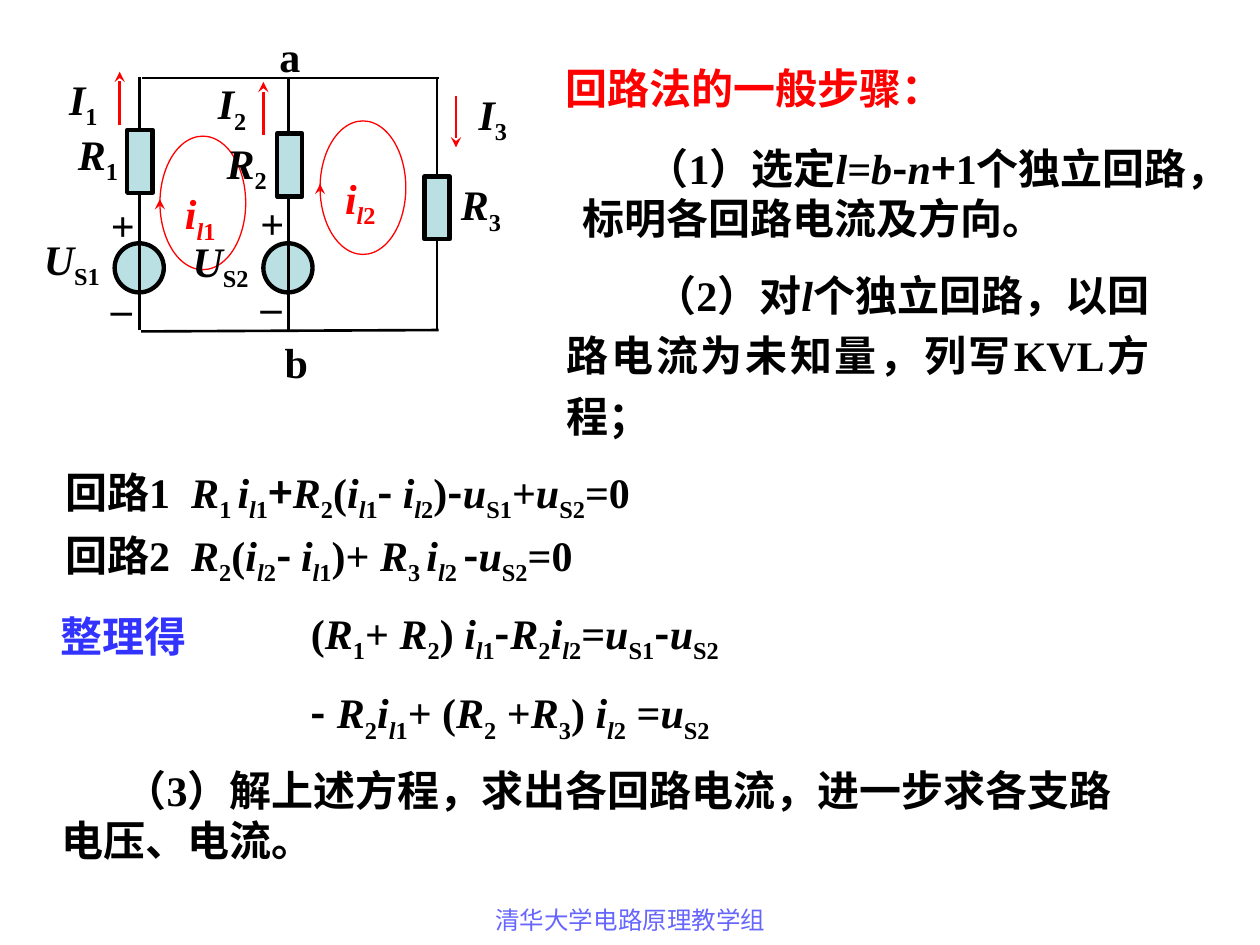
from dataclasses import dataclass, field
from typing import Any

import pptx
import pptx.dml.color
import pptx.enum.shapes
import pptx.enum.text
import pptx.oxml.ns
import pptx.util
from lxml import etree

Pt = pptx.util.Pt
RGBColor = pptx.dml.color.RGBColor
Preset = pptx.enum.shapes.MSO_SHAPE
Align = pptx.enum.text.PP_ALIGN
qn = pptx.oxml.ns.qn

BLACK = RGBColor(0x00, 0x00, 0x00)
RED = RGBColor(0xFF, 0x00, 0x00)
BLUE = RGBColor(0x33, 0x33, 0xFF)
PALE_BLUE = RGBColor(0x66, 0x66, 0xFF)
PART_FILL = RGBColor(0xBB, 0xE0, 0xE3)
SERIF = "Times New Roman"
SANS = "Noto Sans CJK SC"


@dataclass
class Label:
    """Text in points; *italic*, _subscript_ and ~sans~ are marked inline."""
    text: str
    left: float
    top: float
    width: float
    height: float = 40
    color: RGBColor = BLACK
    size: float = 24
    bold: bool = True
    margin: float = 0
    indent: float = 0
    tab: float = 0
    para_format: dict[str, Any] = field(default_factory=dict)


@dataclass
class Wire:
    x1: float
    y1: float
    x2: float
    y2: float
    color: RGBColor = BLACK
    weight: float = 1.5
    arrow: bool = False


@dataclass
class Part:
    preset: Any
    left: float
    top: float
    width: float
    height: float
    fill: RGBColor | None = PART_FILL
    color: RGBColor = BLACK
    weight: float = 2.5


@dataclass
class Loop:
    left: float
    top: float
    name: str


LOOPS = [Loop(91.4, 77.8, "*i*_*l*1_"), Loop(182.9, 69.1, "*i*_*l*2_")]
SOURCES = [Part(Preset.OVAL, x, 139, 28.1, 28.1) for x in (65.5, 150.5)]
RESISTORS = [Part(Preset.RECTANGLE, x, y, 14.4, 36)
             for x, y in ((72.7, 74.2), (158.4, 76.3), (242.6, 100.8))]
WIRES = [
    Wire(79.9, 188.6, 79.9, 43.9),
    Wire(164.9, 189.4, 164.9, 45.4),
    Wire(249.8, 45.4, 249.8, 189.4),
    Wire(80.6, 189.4, 250.6, 188.6),
    Wire(81.4, 44.6, 250.6, 44.6),
]
CURRENTS = [
    Wire(x, start, x, end, RED, arrow=True)
    for x, start, end in ((68.4, 71.3, 41), (150.5, 77, 46.8), (260.6, 54.7, 84.2))
]
CIRCUIT_LABELS = [
    Label("*I*_1_", 32.4, 38.2, 35.3),
    Label("*I*_2_", 117.4, 41, 35.3),
    Label("*I*_3_", 266.4, 46.8, 46.8),
    Label("*R*_1_", 37.4, 69.8, 46.8),
    Label("*R*_2_", 122.4, 74.9, 49.7),
    Label("*R*_3_", 256.3, 98.6, 46.8),
    Label("*U*_S1_", 18, 129.6, 51.8),
    Label("*U*_S2_", 103, 131, 63.4),
    Label("a", 152.6, 13.7, 25.9, 36),
    Label("b", 155.5, 188.6, 27.4, 36),
    Label("+", 56.2, 110.2, 27.4, 36),
    Label("–", 56.2, 157.7, 28.1, 36),
    Label("+", 141.8, 109.4, 26.6, 36),
    Label("–", 141.8, 157, 28.1, 36),
]
TEXTS = [
    Label("回路法的一般步骤：", 316, 32.4, 265.7, 36, RED),
    Label("（1）选定*l=b*~-~*n*~+~1个独立回路， 标明各回路电流及方向。",
          284.4, 77.8, 401, 64.8, margin=36, indent=42),
    Label("（2）对*l*个独立回路，以回路电流为未知量，列写KVL方程；",
          279.4, 144.7, 384.5, 110.9, margin=37.4, indent=50,
          para_format={"alignment": Align.JUSTIFY, "line_spacing": 1.2}),
    Label("回路1\t*R*_1 _*i*_*l*1_~+~*R*_2_(*i*_*l*1_~- ~*i*_*l*2_)~-~*u*_S1_+*u*_S2_=0",
          30.2, 262.8, 378, tab=90),
    Label("回路2\t*R*_2_(*i*_*l*2_~- ~*i*_*l*1_)+ *R*_3 _*i*_*l*2 _~-~*u*_S2_=0",
          30.2, 298.8, 357, tab=90),
    Label("整理得", 27.4, 345.6, 112.3, 36, BLUE),
    Label("(*R*_1_+ *R*_2_) *i*_*l*1_~-~*R*_2_*i*_*l*2_=*u*_S1_~-~*u*_S2_",
          170.6, 343.4, 274.3),
    Label("~-~* R*_2_*i*_*l*1_+ (*R*_2_ +*R*_3_) *i*_*l*2_ =*u*_S2_",
          170.6, 388.8, 270),
    Label("（3）解上述方程，求出各回路电流，进一步求各支路电压、电流。",
          28.1, 433.4, 630.7, 64.8, indent=36),
    Label("清华大学电路原理教学组", 246.2, 513.4, 228.2, 37.4, PALE_BLUE, 14, False,
          para_format={"alignment": Align.CENTER}),
]


def apply_format(target: Any, values: dict[str, Any]) -> None:
    for name, value in values.items():
        setattr(target, name, value)


def split_marks(text: str) -> list[tuple[str, frozenset[str]]]:
    """Cut marked text into pieces, each with the marks in force."""
    pieces, active, current = [], frozenset(), ""
    for letter in text:
        if letter not in "*_~":
            current += letter
            continue
        if current:
            pieces.append((current, active))
        active, current = active ^ {letter}, ""
    return pieces + [(current, active)] if current else pieces


def draw_label(slide: Any, label: Label) -> None:
    box = slide.shapes.add_textbox(
        Pt(label.left), Pt(label.top), Pt(label.width), Pt(label.height))
    box.text_frame.word_wrap = True
    para = box.text_frame.paragraphs[0]
    properties = para._p.get_or_add_pPr()
    properties.set("marL", str(Pt(label.margin)))
    properties.set("indent", str(Pt(label.indent)))
    apply_format(para, label.para_format)
    if label.tab:
        stops = etree.SubElement(properties, qn("a:tabLst"))
        etree.SubElement(stops, qn("a:tab"), pos=str(Pt(label.tab)), algn="l")
    for text, marks in split_marks(label.text):
        span = para.add_run()
        span.text = text
        apply_format(span.font, {
            "name": SANS if "~" in marks else SERIF,
            "size": Pt(label.size),
            "bold": label.bold,
            "italic": "*" in marks,
        })
        span.font.color.rgb = label.color
        run_properties = span._r.get_or_add_rPr()
        if "_" in marks:
            run_properties.set("baseline", "-25000")
        etree.SubElement(run_properties, qn("a:ea"), typeface=SANS)


def draw_wire(slide: Any, wire: Wire) -> None:
    line = slide.shapes.add_connector(
        pptx.enum.shapes.MSO_CONNECTOR.STRAIGHT,
        Pt(wire.x1), Pt(wire.y1), Pt(wire.x2), Pt(wire.y2))
    line.line.color.rgb = wire.color
    line.line.width = Pt(wire.weight)
    if wire.arrow:
        etree.SubElement(line.line._get_or_add_ln(), qn("a:tailEnd"), type="stealth")
    etree.SubElement(line._element.spPr, qn("a:effectLst"))


def draw_part(slide: Any, part: Part) -> None:
    shape = slide.shapes.add_shape(
        part.preset, Pt(part.left), Pt(part.top), Pt(part.width), Pt(part.height))
    shape.shadow.inherit = False
    if part.fill is None:
        shape.fill.background()
    else:
        shape.fill.solid()
        shape.fill.fore_color.rgb = part.fill
    shape.line.color.rgb = part.color
    shape.line.width = Pt(part.weight)


def draw_loop(slide: Any, loop: Loop) -> None:
    draw_part(slide, Part(Preset.OVAL, loop.left, loop.top, 49, 76.3, None, RED, 0.75))
    draw_label(slide, Label(loop.name, loop.left + 7.2, loop.top + 25.9, 35.3, color=RED))
    draw_wire(slide, Wire(loop.left, loop.top + 40.3, loop.left, loop.top + 36,
                          RED, 0.75, True))


def main() -> None:
    deck = pptx.Presentation()
    apply_format(deck, {"slide_width": Pt(720), "slide_height": Pt(540)})
    page = deck.slides.add_slide(deck.slide_layouts[6])
    for draw, items in (
        (draw_loop, LOOPS),
        (draw_part, SOURCES),
        (draw_wire, WIRES + CURRENTS),
        (draw_part, RESISTORS),
        (draw_label, CIRCUIT_LABELS + TEXTS),
    ):
        for item in items:
            draw(page, item)
    deck.save("out.pptx")


if __name__ == "__main__":
    main()
